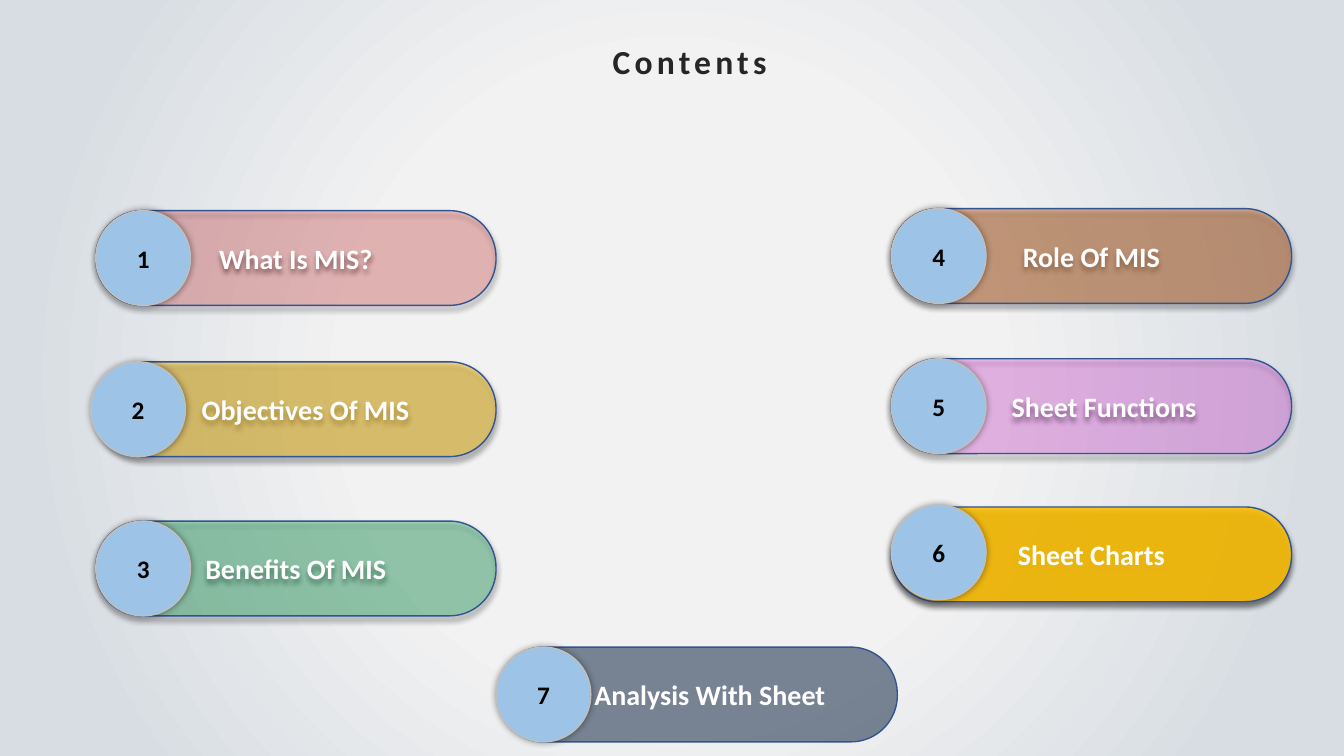
import pptx
import pptx.util
from pptx.dml.color import RGBColor
from pptx.enum.shapes import MSO_SHAPE
from pptx.enum.text import MSO_ANCHOR, PP_ALIGN
from pptx.oxml import parse_xml
from pptx.oxml.ns import nsdecls, qn
from pptx.util import Inches

CENTER_GRAY = RGBColor(0xF2, 0xF2, 0xF2)
EDGE_GRAY = RGBColor(0xD8, 0xDD, 0xE3)
TITLE_GRAY = RGBColor(0x26, 0x26, 0x26)
WHITE = RGBColor(0xFF, 0xFF, 0xFF)
BLACK = RGBColor(0, 0, 0)
BAR_LINE = RGBColor(0x32, 0x54, 0x91)
BADGE_FILL = RGBColor(0x9D, 0xC3, 0xE6)
BADGE_LINE = RGBColor(0xBF, 0xBF, 0xBF)
RED = RGBColor(0xFF, 0, 0)
AMBER = RGBColor(0xFF, 0xC0, 0)
GREEN = RGBColor(0, 0xB0, 0x50)
BROWN = RGBColor(0xC5, 0x5A, 0x11)
MAGENTA = RGBColor(0xFF, 0, 0xFF)
SLATE = RGBColor(0x44, 0x54, 0x6A)

BAR_WIDTH, HEIGHT = 3.97, 0.94


def write_text(shape, text, size, color, indent=0):
    """Write one bold centred line, moved right by a wider left inset."""
    frame = shape.text_frame
    frame.word_wrap = True
    frame.margin_left = Inches(0.1 + indent)
    paragraph = frame.paragraphs[0]
    paragraph.alignment = PP_ALIGN.CENTER
    run = paragraph.add_run()
    run.text = text
    font_format = {"name": "Calibri", "size": pptx.util.Pt(size), "bold": True}
    for name, value in font_format.items():
        setattr(run.font, name, value)
    run.font.color.rgb = color


def add_pill(kind, box, fill, line, shadow, opacity=100):
    """Add a filled shape; shadow is (opacity %, blur pt, distance pt) or None."""
    shape = slide.shapes.add_shape(kind, *map(Inches, box))
    shape.fill.solid()
    shape.fill.fore_color.rgb = fill
    shape.line.color.rgb = line
    shape.line.width = pptx.util.Pt(1)
    shape.text_frame.vertical_anchor = MSO_ANCHOR.MIDDLE
    shape.shadow.inherit = False
    properties = shape.element.spPr
    if opacity < 100:
        color = properties.find(qn("a:solidFill"))[0]
        color.append(parse_xml(f'<a:alpha {nsdecls("a")} val="{opacity * 1000}"/>'))
    if shadow:
        alpha, blur, distance = shadow
        properties.find(qn("a:effectLst")).append(parse_xml(
            f'<a:outerShdw {nsdecls("a")} blurRad="{blur * 12700}" '
            f'dist="{distance * 12700}" dir="5400000" algn="ctr" rotWithShape="0">'
            f'<a:srgbClr val="000000"><a:alpha val="{alpha * 1000}"/></a:srgbClr>'
            '</a:outerShdw>'))
    return shape


presentation = pptx.Presentation()
presentation.slide_width = Inches(13.33)
presentation.slide_height = Inches(7.5)
slide = presentation.slides.add_slide(presentation.slide_layouts[6])

# Radial background
background_fill = slide.background.fill
background_fill.gradient()
stops = [(0.41, CENTER_GRAY), (0.85, EDGE_GRAY)]
for stop, (position, color) in zip(background_fill.gradient_stops, stops):
    stop.position = position
    stop.color.rgb = color
gradient = slide.element.find(".//" + qn("a:gradFill"))
gradient.replace(gradient.find(qn("a:lin")), parse_xml(
    f'<a:path {nsdecls("a")} path="circle">'
    '<a:fillToRect l="50000" t="50000" r="50000" b="50000"/></a:path>'))

# Numbered bars: text, indent, bar left and top, badge left and top, fill, opacity
BAR_SHADOW, BADGE_SHADOW = (57, 4, 3), (40, 5, 0)
topics = [
    ("What Is MIS?", 0, (0.95, 2.09), (0.95, 2.09), RED, 18),
    ("Objectives Of MIS", 0.19, (0.95, 3.59), (0.9, 3.59), AMBER, 42),
    ("Benefits Of MIS", 0, (0.95, 5.17), (0.95, 5.17), GREEN, 29),
    ("Role Of MIS", 0, (8.84, 2.07), (8.84, 2.07), BROWN, 40),
    ("Sheet Functions", 0.25, (8.84, 3.56), (8.84, 3.56), MAGENTA, 19),
    ("Sheet Charts", 0, (8.84, 5.03), (8.84, 5.01), AMBER, 86),
    ("Analysis With Sheet", 0.25, (4.93, 6.42), (4.92, 6.42), SLATE, 70),
]
for number, (text, indent, bar_at, badge_at, fill, opacity) in enumerate(topics, 1):
    shadow = None if fill == SLATE else BAR_SHADOW
    bar = add_pill(MSO_SHAPE.ROUNDED_RECTANGLE, (*bar_at, BAR_WIDTH, HEIGHT),
                   fill, BAR_LINE, shadow, opacity)
    bar.adjustments[0] = 0.49
    write_text(bar, text, 20, WHITE, indent)
    badge = add_pill(MSO_SHAPE.OVAL, (*badge_at, HEIGHT, HEIGHT),
                     BADGE_FILL, BADGE_LINE, BADGE_SHADOW)
    write_text(badge, str(number), 18, BLACK)

# Title with wide letter spacing
title = slide.shapes.add_textbox(*map(Inches, (2.83, 0.36, 7.67, 0.5)))
write_text(title, "Contents", 24, TITLE_GRAY, 0.35)
title.element.find(".//" + qn("a:rPr")).set("spc", "300")

presentation.save("out.pptx")
